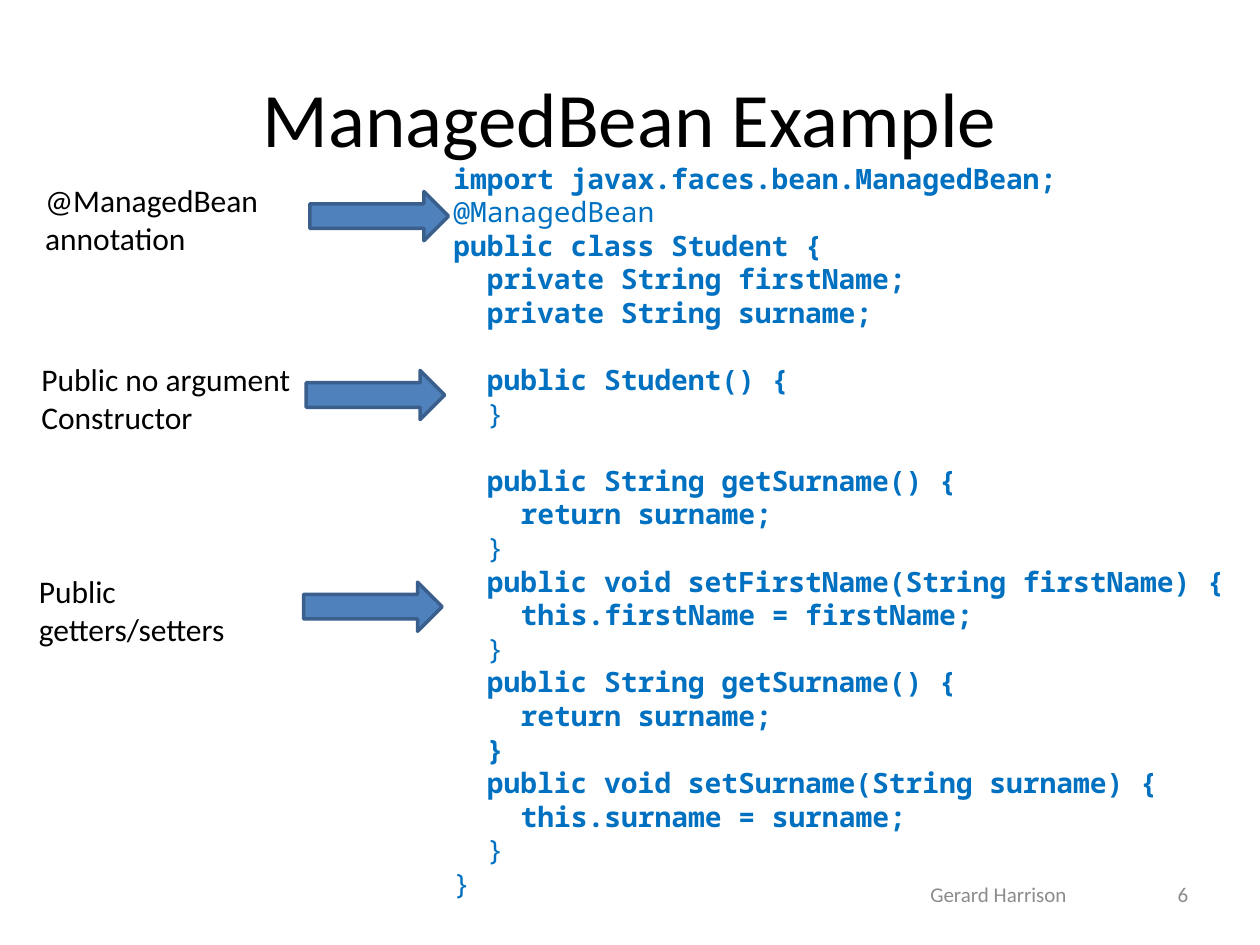
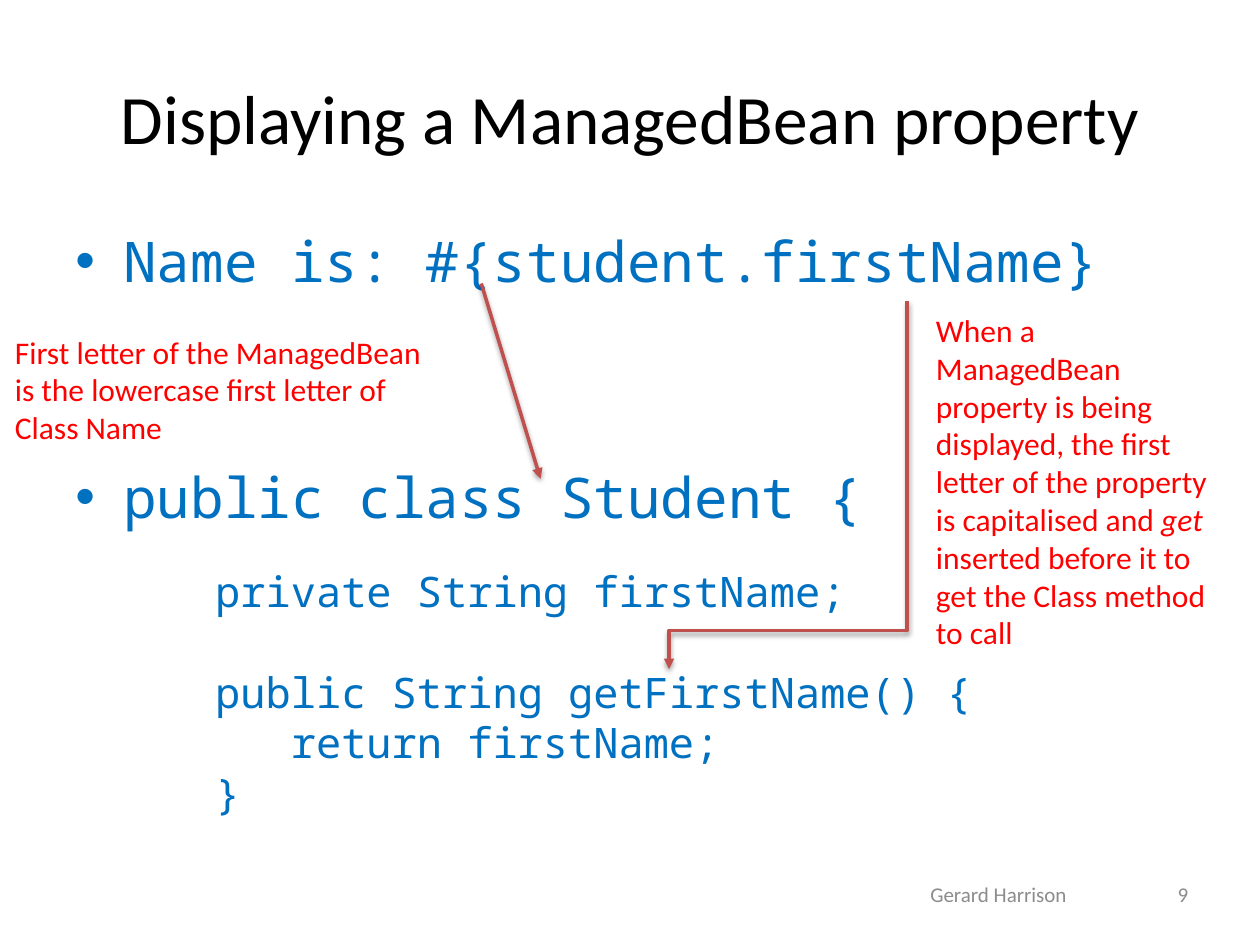
from lxml import etree
from pptx import Presentation
from pptx.dml.color import RGBColor
from pptx.enum.shapes import MSO_CONNECTOR, MSO_SHAPE
from pptx.enum.text import MSO_ANCHOR, MSO_AUTO_SIZE, PP_ALIGN
from pptx.oxml.ns import qn
from pptx.util import Inches, Pt

LEFT, CENTER, RIGHT = PP_ALIGN.LEFT, PP_ALIGN.CENTER, PP_ALIGN.RIGHT
TOP, MIDDLE = MSO_ANCHOR.TOP, MSO_ANCHOR.MIDDLE
GROW, FIXED = MSO_AUTO_SIZE.SHAPE_TO_FIT_TEXT, MSO_AUTO_SIZE.NONE
STRAIGHT, ELBOW = MSO_CONNECTOR.STRAIGHT, MSO_CONNECTOR.ELBOW
RIGHT_ARROW = MSO_SHAPE.RIGHT_ARROW

COLORS = {
    "text": "000000",
    "footer": "8C8C8C",
    "code": "0070C0",
    "note": "FF0000",
    "arrow": "4F81BD",
    "arrow_edge": "3A5F8C",
    "pointer": "C0504D",
    "shadow": "000000",
}
SANS, MONO = "Calibri", "Noto Sans Mono"
CHAR_WIDTH, LINE_HEIGHT = 0.6, 1.2

COLUMNS, ROWS = 100, 75
CELL = Inches(10) // COLUMNS
TITLE_BOX = (5, 3, 90, 12.5)
AUTHOR_BOX = (63.4, 69, 31.7, 4)
NUMBER_BOX = (72, 69, 23.3, 4)

BEAN_CODE = [
    (0, "import javax.faces.bean.ManagedBean;", True, 0),
    (0, "@ManagedBean", False, 0),
    (0, "public class Student {", True, 0),
    (2, "private String firstName;", True, 0),
    (2, "private String surname;", True, 0),
    (2, "public Student() {", True, 1),
    (2, "}", False, 0),
    (2, "public String getSurname() {", True, 1),
    (4, "return surname;", True, 0),
    (2, "}", False, 0),
    (2, "public void setFirstName(String firstName) {", True, 0),
    (4, "this.firstName = firstName;", True, 0),
    (2, "}", False, 0),
    (2, "public String getSurname() {", True, 0),
    (4, "return surname;", True, 0),
    (2, "}", True, 0),
    (2, "public void setSurname(String surname) {", True, 0),
    (4, "this.surname = surname;", True, 0),
    (2, "}", False, 0),
    (0, "}", False, 0),
]
GETTER_CODE = [
    (0, "private String firstName;", False, 0),
    (0, "public String getFirstName() {", False, 1),
    (3, "return firstName;", False, 0),
    (0, "}", False, 0),
]
BEAN_LABELS = [
    ((2.6, 13.9, 22, 7.1), ["@ManagedBean annotation"]),
    ((2.3, 28.1, 22, 7.1), ["Public no argument", "Constructor"]),
    ((2.1, 44.9, 22, 7.1), ["Public getters/setters"]),
]


def cells(*lengths):
    return [round(length * CELL) for length in lengths]


def color(name):
    return RGBColor.from_string(COLORS[name])


def add_span(para, text, ink, **formats):
    span = para.add_run()
    span.text = text
    for name, value in formats.items():
        setattr(span.font, name, value)
    span.font.color.rgb = color(ink)


def add_frame(page, box, anchor=TOP, auto_size=GROW):
    frame = page.shapes.add_textbox(*cells(*box)).text_frame
    settings = {"word_wrap": True, "vertical_anchor": anchor, "auto_size": auto_size}
    for name, value in settings.items():
        setattr(frame, name, value)
    return frame


def add_paras(frame, count):
    return [frame.paragraphs[0]] + [frame.add_paragraph() for _ in range(count - 1)]


def add_line(page, box, text, size, ink, align):
    para = add_frame(page, box, MIDDLE, FIXED).paragraphs[0]
    para.alignment = align
    add_span(para, text, ink, name=SANS, size=Pt(size))


def add_base(deck, title, title_size, number):
    page = deck.slides.add_slide(deck.slide_layouts[6])
    add_line(page, TITLE_BOX, title, title_size, "text", CENTER)
    add_line(page, AUTHOR_BOX, "Gerard Harrison", 12, "footer", CENTER)
    add_line(page, NUMBER_BOX, number, 12, "footer", RIGHT)
    return page


def add_code(page, box, lines, size):
    paras = add_paras(add_frame(page, box), len(lines))
    for para, (indent, text, bold, gap) in zip(paras, lines):
        para.space_before = Pt(gap * size * LINE_HEIGHT)
        para._p.get_or_add_pPr().set("marL", str(Pt(indent * size * CHAR_WIDTH)))
        add_span(para, text, "code", name=MONO, size=Pt(size), bold=bold)


def add_note(page, box, lines, ink):
    paras = add_paras(add_frame(page, box), len(lines))
    for para, spans in zip(paras, lines):
        for text, italic in spans:
            add_span(para, text, ink, name=SANS, size=Pt(18), italic=italic)


def add_label(page, box, lines):
    left, top, width, _ = box
    add_note(page, box, [[(line, False)] for line in lines], "text")
    arrow = page.shapes.add_shape(RIGHT_ARROW, *cells(left + width, top + 1.3, 11, 3.9))
    arrow.shadow.inherit = False
    arrow.fill.solid()
    arrow.fill.fore_color.rgb = color("arrow")
    arrow.line.color.rgb = color("arrow_edge")
    arrow.line.width = Pt(2)


def add_bullets(page, box, lines, size):
    paras = add_paras(add_frame(page, box, TOP, FIXED), len(lines))
    for para, (text, gap) in zip(paras, lines):
        para.space_before = Pt(gap)
        props = para._p.get_or_add_pPr()
        props.set("marL", str(Inches(0.38)))
        props.set("indent", str(-Inches(0.38)))
        etree.SubElement(props, qn("a:buFont"), typeface="Arial")
        etree.SubElement(props, qn("a:buChar"), char="•")
        add_span(para, text, "code", name=MONO, size=Pt(size))


def style_pointer(pointer):
    pointer.line.color.rgb = color("pointer")
    pointer.line.width = Pt(2)
    props = pointer.element.spPr
    etree.SubElement(props.find(qn("a:ln")), qn("a:tailEnd"), type="triangle")
    effects = etree.SubElement(props, qn("a:effectLst"))
    shadow = etree.SubElement(
        effects, qn("a:outerShdw"), blurRad=str(Pt(3.1)), dist=str(Pt(1.6)),
        dir="5400000", rotWithShape="0")
    tint = etree.SubElement(shadow, qn("a:srgbClr"), val=COLORS["shadow"])
    etree.SubElement(tint, qn("a:alpha"), val="38000")


def add_pointer(page, start, end):
    style_pointer(page.shapes.add_connector(STRAIGHT, *cells(*start, *end)))


def add_bent_pointer(page, start, end, bend):
    middle_x, middle_y = (start[0] + end[0]) / 2, (start[1] + end[1]) / 2
    half_x, half_y = (end[1] - start[1]) / 2, (start[0] - end[0]) / 2
    pointer = page.shapes.add_connector(ELBOW, *cells(
        middle_x - half_x, middle_y - half_y, middle_x + half_x, middle_y + half_y))
    props = pointer.element.spPr
    props.find(qn("a:xfrm")).set("rot", "5400000")
    guides = props.find(qn("a:prstGeom")).find(qn("a:avLst"))
    etree.SubElement(guides, qn("a:gd"), name="adj1", fmla=f"val {round(bend * 100000)}")
    style_pointer(pointer)


def build_example(deck):
    page = add_base(deck, "ManagedBean Example", 44, "6")
    add_code(page, (35, 12.3, 78, 62.9), BEAN_CODE, 16)
    for box, lines in BEAN_LABELS:
        add_label(page, box, lines)


def build_property(deck):
    page = add_base(deck, "Displaying a ManagedBean property", 39.6, "9")
    add_bullets(page, (5, 17.5, 90, 49.5), [
        ("Name is: #{student.firstName}", 0),
        ("public class Student {", 96.5),
    ], 32)
    add_pointer(page, (38.2, 22.5), (42.9, 38))
    add_note(page, (0.2, 25.9, 35.4, 10.1), [
        [("First letter of the ManagedBean", False)],
        [("is the lowercase first letter of Class Name", False)],
    ], "note")
    add_code(page, (16.1, 44.4, 70.1, 21.2), GETTER_CODE, 24)
    add_bent_pointer(page, (72, 23.9), (53.1, 53.1), 0.895)
    add_note(page, (73.3, 24.2, 24.2, 28.3), [[
        ("When a ManagedBean property is being displayed, the first letter "
         "of the property is capitalised and ", False),
        ("get", True),
        (" inserted before it to get the Class method to call", False),
    ]], "note")


deck = Presentation()
deck.slide_width, deck.slide_height = cells(COLUMNS, ROWS)
build_example(deck)
build_property(deck)
deck.save("out.pptx")
